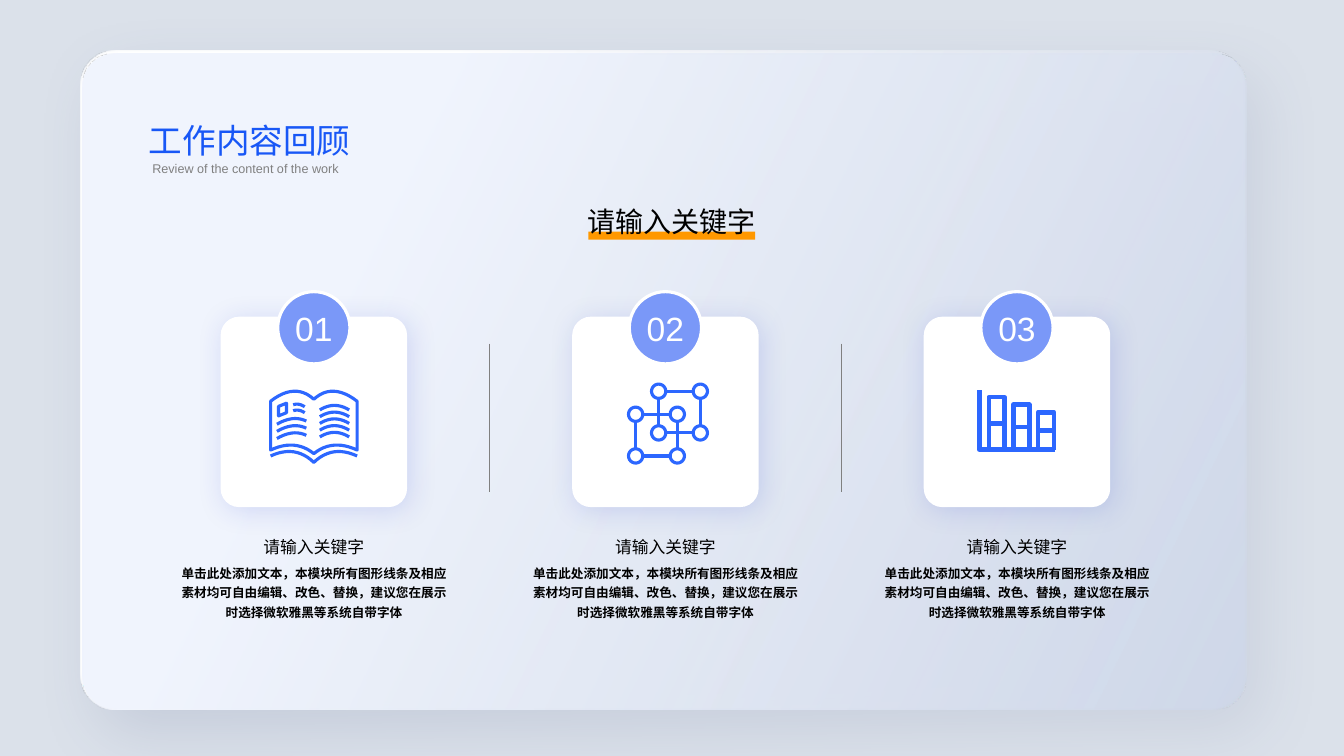
from dataclasses import dataclass
from math import cos, pi, sin

from lxml import etree
from pptx import Presentation
from pptx.dml.color import RGBColor
from pptx.enum.shapes import MSO_CONNECTOR, MSO_SHAPE
from pptx.enum.text import MSO_ANCHOR, MSO_AUTO_SIZE, PP_ALIGN
from pptx.oxml.ns import qn
from pptx.util import Cm, Pt


@dataclass(frozen=True)
class Theme:
    font: str = "Arial"
    backdrop: str = "DBE1EA"
    panel_end: str = "CFD8E9"
    title: str = "1857F6"
    grey: str = "808080"
    black: str = "000000"
    white: str = "FFFFFF"
    badge: str = "7A98F8"
    icon: str = "2C67FF"
    accent: str = "FF9800"
    title_size: int = 24
    heading_size: int = 20
    label_size: int = 12
    small_size: int = 9


THEME = Theme()
KEYWORD = "请输入关键字"
BODY = ("单击此处添加文本，本模块所有图形线条及相应素材均可自由编辑、改色、替换，"
        "建议您在展示时选择微软雅黑等系统自带字体")
FIRST_CENTRE, PITCH = 7.91, 8.86


def rgb(color):
    return RGBColor.from_string(color)


def style_text(sp, text, size, color, align=PP_ALIGN.LEFT, bold=False):
    tf = sp.text_frame
    tf.text = text
    tf.word_wrap = True
    p = tf.paragraphs[0]
    p.alignment = align
    font = p.runs[0].font
    font.name, font.size, font.bold = THEME.font, Pt(size), bold
    font.color.rgb = rgb(color)
    return p


def add_text(slide, box, text, size, color, **style):
    sp = slide.shapes.add_textbox(*map(Cm, box))
    return style_text(sp, text, size, color, **style)


def add_shape(slide, kind, box, color, corner=None):
    sp = slide.shapes.add_shape(kind, *map(Cm, box))
    sp.shadow.inherit = False
    sp.fill.solid()
    sp.fill.fore_color.rgb = rgb(color)
    sp.line.fill.background()
    if corner is not None:
        sp.adjustments[0] = corner
    return sp


def add_alpha(color_el, percent):
    etree.SubElement(color_el, qn("a:alpha"), val=str(percent * 1000))


def add_shadow(sp, color, alpha, blur, dist, angle):
    effects = sp._element.spPr.find(qn("a:effectLst"))
    shadow = etree.SubElement(effects, qn("a:outerShdw"), blurRad=str(Pt(blur)),
                              dist=str(Pt(dist)), dir=str(angle * 60000),
                              algn="ctr", rotWithShape="0")
    add_alpha(etree.SubElement(shadow, qn("a:srgbClr"), val=color), alpha)


def add_panel(slide, box, corner, start, end_alpha):
    """Rounded panel fading from start to the translucent panel colour."""
    sp = add_shape(slide, MSO_SHAPE.ROUNDED_RECTANGLE, box, start, corner)
    sp.fill.gradient()
    sp.fill.gradient_angle = 360 - 26
    stops = zip(sp.fill.gradient_stops, (0.25, 0.99), (start, THEME.panel_end))
    for stop, position, color in stops:
        stop.position = position
        stop.color.rgb = rgb(color)
    add_alpha(sp._element.spPr.findall(".//" + qn("a:srgbClr"))[-1], end_alpha)
    return sp


def add_divider(slide, x):
    line = slide.shapes.add_connector(MSO_CONNECTOR.STRAIGHT,
                                      Cm(x), Cm(8.66), Cm(x), Cm(12.4))
    line.line.color.rgb = rgb(THEME.grey)
    line.line.width = Pt(0.5)
    etree.SubElement(line._element.spPr, qn("a:effectLst"))


def add_icon(slide, centre, strokes, width):
    """Draw strokes, lists of points in cm with x counted from centre."""
    paths = [[(Cm(centre + x), Cm(y)) for x, y in stroke] for stroke in strokes]
    builder = slide.shapes.build_freeform(*paths[0][0])
    for i, path in enumerate(paths):
        if i:
            builder.move_to(*path[0])
        builder.add_line_segments(path[1:], close=path[0] == path[-1])
    sp = builder.convert_to_shape()
    sp.shadow.inherit = False
    sp.fill.background()
    sp.line.color.rgb = rgb(THEME.icon)
    sp.line.width = Pt(width)


def arc(start, control, end, dy=0, steps=12):
    """Points of a quadratic curve, moved down by dy."""
    points = []
    for i in range(steps + 1):
        t = i / steps
        a, b, c = (1 - t) ** 2, 2 * t * (1 - t), t ** 2
        x, y = (a * s + b * m + c * e for s, m, e in zip(start, control, end))
        points.append((x, y + dy))
    return points


def book_strokes():
    top = arc((-1.09, 10.11), (-0.47, 9.63), (0, 10.06))
    bottom = arc((-1.09, 11.34), (-0.47, 11.05), (0, 11.43))
    edge = arc((-1.09, 11.49), (-0.47, 11.2), (0, 11.65))

    def mirrored(half):
        return half + [(-x, y) for x, y in half[-2::-1]]

    cover = mirrored(top) + mirrored(bottom)[::-1] + [top[0]]
    photo = [(-0.89, 10.24), (-0.69, 10.16), (-0.69, 10.4), (-0.89, 10.48),
             (-0.89, 10.24)]
    left = [arc((-0.93, 11.05), (-0.52, 10.81), (-0.19, 10.97), -0.18 * i)
            for i in range(3)]
    short = [arc((-0.52, 10.35), (-0.38, 10.3), (-0.23, 10.4), -0.15 * i)
             for i in range(2)]
    right = [arc((0.15, 10.33), (0.52, 10.1), (0.89, 10.33), 0.17 * i)
             for i in range(5)]
    return [cover, mirrored(edge), photo, *left, *short, *right]


def network_strokes():
    side, radius, steps = 1.05, 0.18, 24
    strokes = []
    for x, y in ((-0.17, 9.86), (-0.75, 10.44)):
        for d in (0, side):
            strokes.append([(x + radius, y + d), (x + side - radius, y + d)])
            strokes.append([(x + d, y + radius), (x + d, y + side - radius)])
            for e in (0, side):
                ring = [(x + d + radius * cos(2 * pi * i / steps),
                         y + e + radius * sin(2 * pi * i / steps))
                        for i in range(steps)]
                strokes.append(ring + ring[:1])
    return strokes


def bar_strokes():
    base = 11.33
    strokes = [[(-0.95, 9.83), (-0.95, base), (0.95, base)]]
    for i in range(3):
        left, top, middle = -0.71 + 0.62 * i, 10.01 + 0.19 * i, 10.67 + 0.09 * i
        right = left + 0.4
        strokes.append([(left, base), (left, top), (right, top), (right, base)])
        strokes.append([(left, middle), (right, middle)])
    return strokes


def add_card(slide, number, centre, strokes, width):
    card = add_shape(slide, MSO_SHAPE.ROUNDED_RECTANGLE,
                     (centre - 2.35, 7.98, 4.7, 4.8), THEME.white, 0.1)
    add_shadow(card, "1D32CC", 15, 20, 3, 45)
    badge = add_shape(slide, MSO_SHAPE.OVAL, (centre - 0.91, 7.35, 1.82, 1.82),
                      THEME.badge)
    badge.line.color.rgb = rgb(THEME.white)
    badge.line.width = Pt(2.25)
    tf = badge.text_frame
    tf.margin_left = tf.margin_right = tf.margin_top = tf.margin_bottom = 0
    tf.vertical_anchor = MSO_ANCHOR.MIDDLE
    style_text(badge, f"{number:02}", THEME.title_size, THEME.white,
               align=PP_ALIGN.CENTER)
    add_icon(slide, centre, strokes, width)
    add_text(slide, (centre - 1.97, 13.39, 3.94, 0.76), KEYWORD,
             THEME.label_size, THEME.black, align=PP_ALIGN.CENTER)
    p = add_text(slide, (centre - 3.6, 14.02, 7.2, 1.75), BODY,
                 THEME.small_size, THEME.black, align=PP_ALIGN.CENTER, bold=True)
    p.line_spacing = Pt(14)


def add_title(slide, text):
    sp = slide.shapes.title
    sp.left, sp.top, sp.width, sp.height = map(Cm, (3.5, 2.9, 6.02, 1.27))
    sp.text_frame.vertical_anchor = MSO_ANCHOR.TOP
    sp.text_frame.auto_size = MSO_AUTO_SIZE.NONE
    style_text(sp, text, THEME.title_size, THEME.title)
    sp._element.getparent().append(sp._element)  # bring in front of the panels


def main():
    prs = Presentation()
    prs.slide_width, prs.slide_height = Cm(33.87), Cm(19.05)
    slide = prs.slides.add_slide(prs.slide_layouts[5])
    slide.background.fill.solid()
    slide.background.fill.fore_color.rgb = rgb(THEME.backdrop)

    panel = add_panel(slide, (2.03, 1.27, 29.34, 16.61), 0.055, THEME.white, 68)
    add_shadow(panel, "324274", 13, 45, 21, 53)
    add_panel(slide, (2.08, 1.35, 29.34, 16.54), 0.051, "F0F4FD", 78)

    add_title(slide, "工作内容回顾")
    add_text(slide, (3.59, 3.94, 5.6, 0.64), "Review of the content of the work",
             THEME.small_size, THEME.grey)
    add_shape(slide, MSO_SHAPE.RECTANGLE, (14.83, 5.84, 4.2, 0.2), THEME.accent)
    add_text(slide, (14.3, 5.03, 5.26, 1.12), KEYWORD,
             THEME.heading_size, THEME.black, align=PP_ALIGN.CENTER)

    icons = ((book_strokes(), 2.25), (network_strokes(), 2.25), (bar_strokes(), 3.25))
    for i, (strokes, width) in enumerate(icons):
        centre = FIRST_CENTRE + i * PITCH
        add_card(slide, i + 1, centre, strokes, width)
        if i:
            add_divider(slide, centre - PITCH / 2)
    prs.save("out.pptx")


if __name__ == "__main__":
    main()
